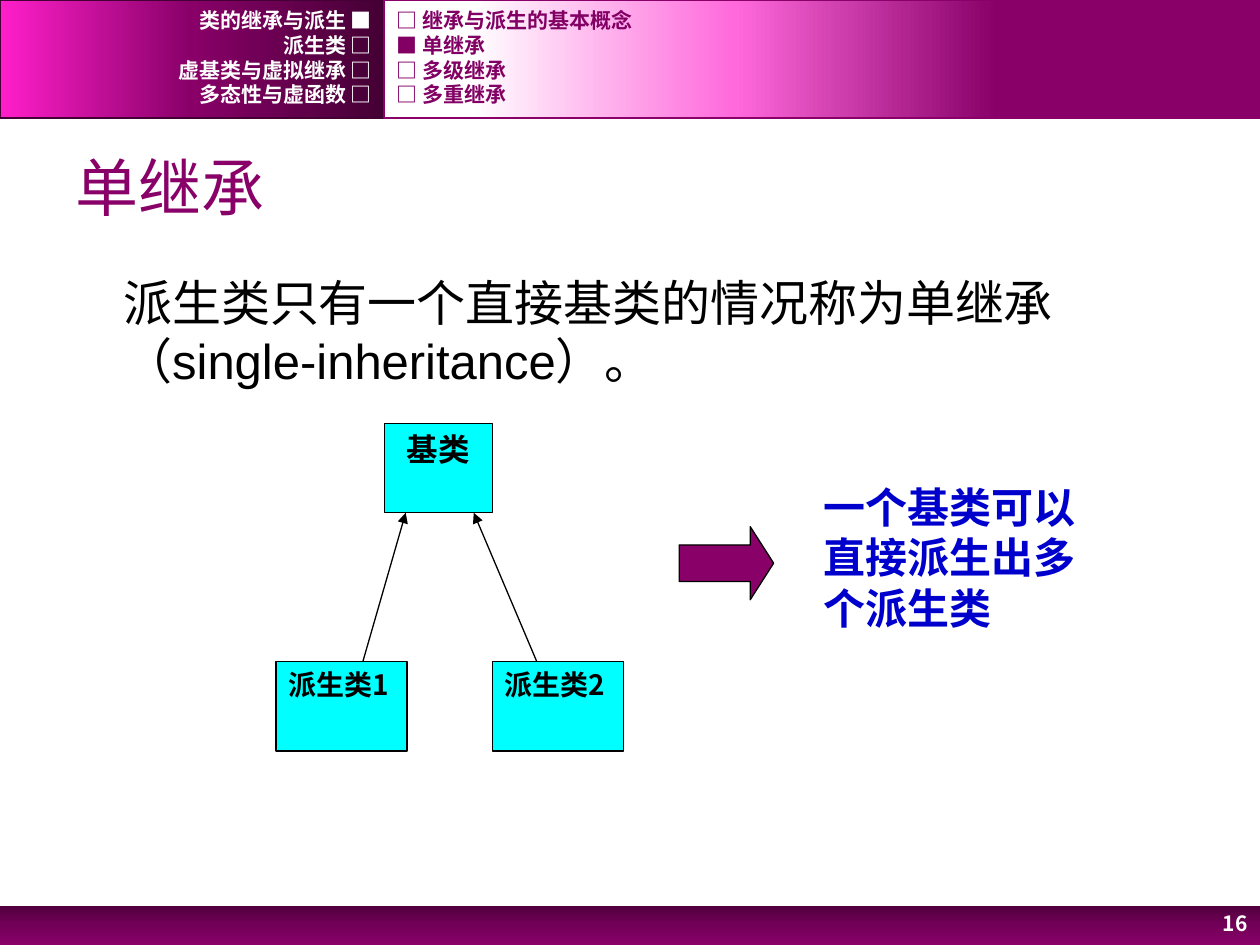
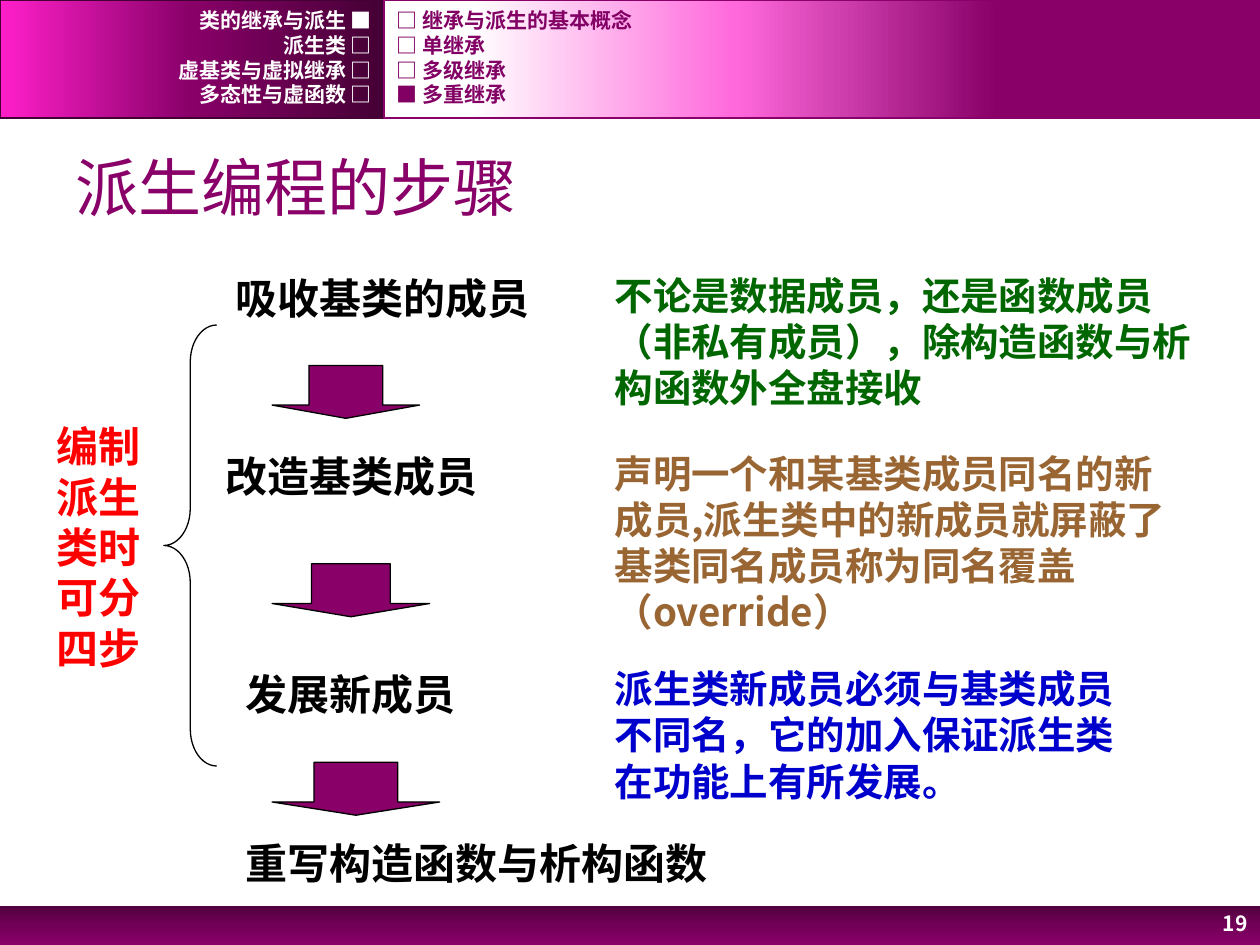
from copy import deepcopy
from dataclasses import dataclass

from lxml import etree
from pptx import Presentation
from pptx.dml.color import RGBColor
from pptx.enum.shapes import MSO_CONNECTOR as CXN, MSO_SHAPE as SHAPE
from pptx.enum.text import MSO_ANCHOR as ANCHOR, PP_ALIGN as ALIGN
from pptx.oxml.ns import qn
from pptx.util import Inches, Pt


@dataclass(frozen=True)
class Theme:
    plum: str = "880068"
    nav: str = "820064"
    dark: str = "440034"
    cyan: str = "00FFFF"
    black: str = "000000"
    white: str = "FFFFFF"
    red: str = "FF0000"
    green: str = "006600"
    brown: str = "996633"
    blue: str = "0000CC"
    footer_stops: tuple = ((0, "51003E"), (0.5, "730058"), (1, "880068"))
    left_stops: tuple = ((0, "440034"), (0.5, "880068"), (1, "FF1FCA"))
    right_stops: tuple = ((0.3, "880068"), (0.6, "FF69DC"), (0.9, "FFFFFF"))
    cjk: str = "Noto Sans CJK SC"
    latin: str = "Arial"
    mono: str = "Courier New"
    title: int = 36
    body: int = 28
    label: int = 24
    note: int = 22
    box: int = 18
    small_box: int = 16
    small: int = 12
    thin: float = 0.75


THEME = Theme()
CHAPTERS = ["类的继承与派生", "派生类", "虚基类与虚拟继承", "多态性与虚函数"]
SECTIONS = ["继承与派生的基本概念", "单继承", "多级继承", "多重继承"]
SPLIT = 3.05


class Deck:
    """Slide builder that holds the theme and the current slide."""

    def __init__(self, prs, theme):
        self.prs, self.t, self.s = prs, theme, None

    def fill_text(self, sp, text, size, color, font=None, bold=True, align=ALIGN.LEFT,
                  anchor=ANCHOR.TOP, wrap=True):
        tf = sp.text_frame
        tf.word_wrap, tf.vertical_anchor = wrap, anchor
        p = tf.paragraphs[0]
        p.alignment = align
        r = p.add_run()
        r.text = text
        formats = {"name": font or self.t.cjk, "size": Pt(size), "bold": bold}
        for key, value in formats.items():
            setattr(r.font, key, value)
        r.font.color.rgb = RGBColor.from_string(color)
        ea = etree.SubElement(r._r.get_or_add_rPr(), qn("a:ea"))
        ea.set("typeface", self.t.cjk)

    def text(self, at, text, size, color, **style):
        sp = self.s.shapes.add_textbox(*map(Inches, at))
        self.fill_text(sp, text, size, color, **style)

    def shape(self, kind, at, fill=None, line=None, width=THEME.thin, adj=()):
        sp = self.s.shapes.add_shape(kind, *map(Inches, at))
        sp.shadow.inherit = False
        for i, value in enumerate(adj):
            sp.adjustments[i] = value
        if fill:
            sp.fill.solid()
            sp.fill.fore_color.rgb = RGBColor.from_string(fill)
        else:
            sp.fill.background()
        if line:
            sp.line.color.rgb = RGBColor.from_string(line)
            sp.line.width = Pt(width)
        else:
            sp.line.fill.background()
        return sp

    def band(self, at, stops, angle, line=None):
        sp = self.shape(SHAPE.RECTANGLE, at, line=line, width=1)
        sp.fill.gradient()
        sp.fill.gradient_angle = angle
        gs_list = sp._element.spPr.find(qn("a:gradFill")).find(qn("a:gsLst"))
        gs_list.append(deepcopy(gs_list[0]))
        for stop, (position, color) in zip(sp.fill.gradient_stops, stops):
            stop.position = position
            stop.color.rgb = RGBColor.from_string(color)

    def box(self, at, text, size, align):
        sp = self.shape(SHAPE.RECTANGLE, at, self.t.cyan, self.t.black)
        self.fill_text(sp, text, size, self.t.black, align=align)

    def block_arrow(self, kind, at, head):
        self.shape(kind, at, self.t.plum, self.t.black, adj=(0.5, head))

    def arrow(self, start, end):
        cx = self.s.shapes.add_connector(CXN.STRAIGHT, *map(Inches, start + end))
        cx.line.color.rgb = RGBColor.from_string(self.t.black)
        cx.line.width = Pt(self.t.thin)
        sp_pr = cx._element.spPr
        etree.SubElement(sp_pr.find(qn("a:ln")), qn("a:tailEnd")).set("type", "triangle")
        etree.SubElement(sp_pr, qn("a:effectLst"))

    def slide(self, title, section, number):
        t = self.t
        self.s = self.prs.slides.add_slide(self.prs.slide_layouts[6])
        self.band((0, 7.19, 10, 0.31), t.footer_stops, 270)
        self.band((0, 0, SPLIT, 0.94), t.left_stops, 180, t.dark)
        self.band((SPLIT, 0, 10 - SPLIT, 0.94), t.right_stops, 180, t.plum)
        nav = {"font": t.mono, "anchor": ANCHOR.MIDDLE}
        for i, (chapter, name) in enumerate(zip(CHAPTERS, SECTIONS)):
            top = 0.06 + 0.59 * i / 3
            self.text((0, top, SPLIT, 0.2), f"{chapter} {'□' if i else '■'}",
                      t.small, t.white, align=ALIGN.RIGHT, **nav)
            self.text((SPLIT, top, 6.02, 0.2), f"{'■' if name == section else '□'} {name}",
                      t.small, t.nav, **nav)
        self.text((0.5, 1.09, 9, 0.78), title, t.title, t.plum, font=t.latin,
                  bold=False, anchor=ANCHOR.MIDDLE)
        self.text((9.18, 7.16, 0.82, 0.34), number, t.small, t.white,
                  align=ALIGN.RIGHT, anchor=ANCHOR.MIDDLE)


def single_inheritance(deck):
    t = deck.t
    deck.slide("单继承", "单继承", "16")
    deck.text((0.88, 2.11, 8.62, 4.92), "派生类只有一个直接基类的情况称为单继承（single-inheritance）。",
              t.body, t.black, font=t.latin, bold=False)
    deck.box((3.05, 3.36, 0.86, 0.71), "基类", t.box, ALIGN.CENTER)
    for i, (start, end) in enumerate([(2.88, 3.22), (4.26, 3.76)]):
        deck.box((2.19 + 1.72 * i, 5.25, 1.04, 0.71), f"派生类{i + 1}",
                 t.small_box, ALIGN.JUSTIFY)
        deck.arrow((start, 5.25), (end, 4.07))
    deck.block_arrow(SHAPE.RIGHT_ARROW, (5.39, 4.18, 0.75, 0.58), 0.32)
    deck.text((6.44, 3.77, 2.47, 1.31), "一个基类可以直接派生出多个派生类", t.label, t.blue)


def derivation_steps(deck):
    t = deck.t
    deck.slide("派生编程的步骤", "多重继承", "19")
    deck.text((0.35, 3.29, 0.88, 2.12), "编制派生类时可分四步", t.label, t.red)
    deck.shape(SHAPE.LEFT_BRACE, (1.3, 2.58, 0.42, 3.5), line=t.black, adj=(0.7, 0.5))
    steps = [
        (1.77, 2.11, 2.73, "吸收基类的成员"),
        (1.69, 3.53, 2.39, "改造基类成员"),
        (1.85, 5.26, 2.05, "发展新成员"),
        (1.85, 6.6, 4.07, "重写构造函数与析构函数"),
    ]
    for left, top, width, step in steps:
        deck.text((left, top, width, 0.5), step, t.label, t.black, wrap=False)
    for i in range(len(steps) - 1):
        deck.block_arrow(SHAPE.DOWN_ARROW, (2.16, 2.9 + 3.15 * i / 2, 1.17 + 0.08 * i, 0.42), 0.25)
    notes = [
        (2.11, 4.9, 1.21, t.green,
         "不论是数据成员，还是函数成员（非私有成员），除构造函数与析构函数外全盘接收"),
        (3.52, 4.76, 1.58, t.brown,
         "声明一个和某基类成员同名的新成员,派生类中的新成员就屏蔽了基类同名成员称为同名覆盖（override）"),
        (5.23, 4.46, 1.21, t.blue,
         "派生类新成员必须与基类成员不同名，它的加入保证派生类在功能上有所发展。"),
    ]
    for top, width, height, color, note in notes:
        deck.text((4.78, top, width, height), note, t.note, color)


def main():
    prs = Presentation()
    prs.slide_width, prs.slide_height = Inches(10), Inches(7.5)
    deck = Deck(prs, THEME)
    single_inheritance(deck)
    derivation_steps(deck)
    prs.save("out.pptx")


if __name__ == "__main__":
    main()
